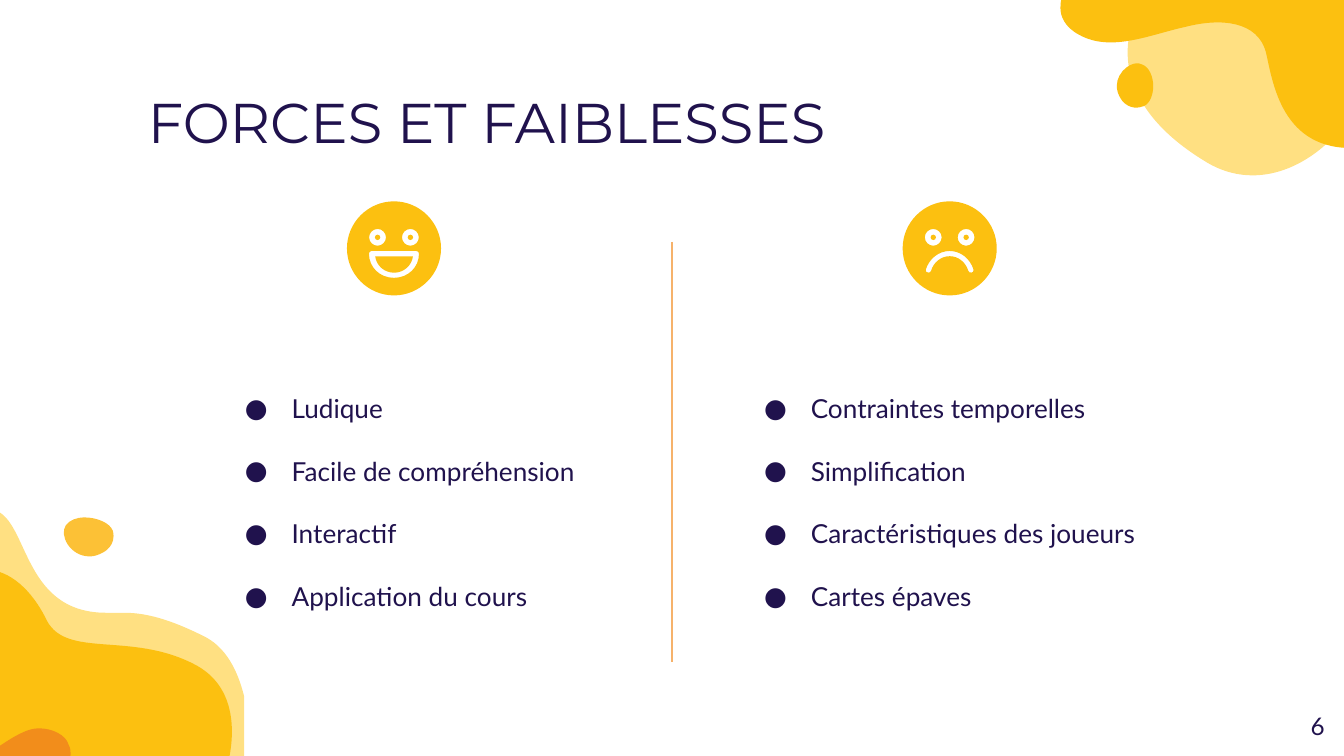
"""Build a slide comparing strengths and weaknesses in two bulleted columns."""
import lxml.etree
import pptx
import pptx.dml.color
import pptx.enum.shapes
import pptx.enum.text
import pptx.oxml.ns
import pptx.util

Pt = pptx.util.Pt
qn = pptx.oxml.ns.qn
ALIGN = pptx.enum.text.PP_ALIGN
ANCHOR = pptx.enum.text.MSO_ANCHOR
COLORS = {
    "navy": "20124D",
    "gold": "FCC010",
    "pale": "FFE082",
    "amber": "FCC136",
    "orange": "F28D1B",
    "rule": "F6B26B",
}
RGB = {name: pptx.dml.color.RGBColor.from_string(value) for name, value in COLORS.items()}

deck = pptx.Presentation()
deck.slide_width, deck.slide_height = Pt(720), Pt(405)
page = deck.slides.add_slide(deck.slide_layouts[5])


def add_blob(group, color, outlines, left=0, top=0):
    """Draw outlines whose steps are lines (2 numbers) or cubic curves (6 numbers)."""
    builder = None
    for outline in outlines:
        corners = [
            (Pt(left + step[i]), Pt(top + step[i + 1]))
            for step in outline for i in range(0, len(step), 2)
        ]
        if builder is None:
            builder = group.shapes.build_freeform(*corners[0], scale=1.0)
        else:
            builder.move_to(*corners[0])
        builder.add_line_segments(corners[1:], close=True)
    shape = builder.convert_to_shape()
    outline_path = shape._element.find(".//" + qn("a:path"))
    lines = iter(outline_path.findall(qn("a:lnTo")))
    for step in (step for outline in outlines for step in outline[1:]):
        pieces = [next(lines) for _ in range(len(step) // 2)]
        if len(pieces) == 3:
            curve = lxml.etree.Element(qn("a:cubicBezTo"))
            pieces[0].addprevious(curve)
            for piece in pieces:
                curve.append(piece[0])
                outline_path.remove(piece)
    shape.shadow.inherit = False
    shape.fill.solid()
    shape.fill.fore_color.rgb = RGB[color]
    shape.line.fill.background()


def circle(x, y, r):
    """Return a circle as four cubic curves."""
    k = 0.55 * r
    return [
        (x, y - r),
        (x + k, y - r, x + r, y - k, x + r, y),
        (x + r, y + k, x + k, y + r, x, y + r),
        (x - k, y + r, x - r, y + k, x - r, y),
        (x - r, y - k, x - k, y - r, x, y - r),
    ]


top_right = [
    ("pale", [(604.1, 28.1), (604.1, 46.1, 614.2, 67, 644.4, 85.7),
              (671.8, 103.7, 702, 90, 720, 67), (720, 0), (612.7, 0),
              (607.7, 7.2, 604.1, 17.3, 604.1, 28.1)]),
    ("gold", [(598.3, 46.1), (598.3, 48.2, 599, 51.1, 601.2, 54),
              (601.2, 54, 605.5, 59.8, 612.7, 56.9), (616.3, 55.4, 617.8, 50.4, 617.8, 46.1),
              (617.8, 41, 615.6, 36, 612, 34.6), (607, 31.7, 598.3, 38.2, 598.3, 46.1)]),
    ("gold", [(568.1, 4.3), (568.1, 0.7, 568.8, -2.2, 569.5, -3.6), (727.2, -3.6),
              (727.2, 79.2), (686.2, 81.4, 681.8, 43.2, 678.2, 28.1),
              (673.9, 11.5, 654.5, 9.4, 635, 14.4), (615.6, 18.7, 595.4, 28.1, 578.2, 18.7),
              (570.2, 14.4, 568.1, 8.6, 568.1, 4.3)]),
]
bottom_left = [
    ("pale", [(130.8, 408.2), (130.8, 373), (127.4, 359.3, 121, 346.3, 108.7, 340.6),
              (87.1, 329.8, 74.9, 328.3, 66.2, 328.3), (64.1, 328.3, 61.9, 328.3, 59.8, 328.3),
              (59, 328.3, 58.3, 328.3, 56.9, 328.3), (10.1, 328.3, 15.8, 275, -5, 272.9),
              (-11.5, 272.9), (-11.5, 408.2)]),
    ("gold", [(122.4, 408.2), (125.3, 395.3, 128.2, 367.9, 103.7, 355.7),
              (69.8, 338.4, 36, 352.8, 25.2, 332.6), (17.3, 316.1, 5, 305.3, -7.2, 305.3),
              (-8.6, 305.3, -10.1, 306, -11.5, 306), (-11.5, 408.2)]),
    ("orange", [(36.7, 408.2), (37.4, 406.1, 38.9, 403.2, 36.7, 398.9),
                (35.3, 393.8, 28.1, 390.2, 20.9, 390.2), (18, 390.2, 15.1, 391, 12.2, 392.4),
                (2.9, 396.7, -0.7, 401, -5, 401.8), (-7.9, 402.5, -10.1, 405.4, -7.9, 408.2)]),
    ("amber", [(48.2, 298.1), (50.4, 298.1, 52.6, 297.4, 55.4, 295.9),
               (55.4, 295.9, 62.6, 292.3, 60.5, 284.4), (59, 280.1, 51.8, 277.2, 45.4, 277.2),
               (41, 277.2, 37.4, 278.6, 35.3, 281.5), (31.7, 286.6, 37.4, 298.1, 48.2, 298.1)]),
]
for blobs in (top_right, bottom_left):
    corner = page.shapes.add_group_shape()
    for color, outline in blobs:
        add_blob(corner, color, [outline])

smile = [(12, 1.4), (12.9, 1.4, 13.4, 2.2, 13.4, 2.9), (13.4, 10.1, 7.6, 15.8, 0, 15.8),
         (-7.6, 15.8, -13.4, 10.1, -13.4, 2.9), (-13.4, 2.2, -12.9, 1.4, -12, 1.4)]
tongue = [(-10.1, 4.3), (-9.4, 9.4, -5, 13, 0, 13), (5, 13, 9.4, 9.4, 10.1, 4.3)]
frown = [(0, 1.4), (5.9, 1.4, 11, 5.6, 12.8, 11.4), (13, 12.3, 12.4, 13, 11.6, 13),
         (10.8, 13, 10.3, 12.8, 10, 12.1), (8.6, 7.4, 4.6, 4.2, 0, 4.2),
         (-4.6, 4.2, -8.6, 7.4, -10, 12.1), (-10.3, 12.8, -10.8, 13, -11.6, 13),
         (-12.4, 13, -13, 12.3, -12.8, 11.4), (-11, 5.6, -5.9, 1.4, 0, 1.4)]
eyes = [(-8.8, -5.9), (8.8, -5.9)]
for face_x, mouth, fillings in [(508.8, frown, []), (211.1, smile, [tongue])]:
    face = page.shapes.add_group_shape()
    pupils = [circle(x, y, 1.45) for x, y in eyes]
    head = [circle(x, y, 4.5) for x, y in eyes] + [mouth, circle(0, 0, 25.2)]
    for outlines in [[part] for part in pupils + fillings] + [head]:
        add_blob(face, "gold", outlines, face_x, 133.1)

divider = page.shapes.add_connector(
    pptx.enum.shapes.MSO_CONNECTOR.STRAIGHT, Pt(360), Pt(129.6), Pt(360), Pt(354.8))
divider.line.color.rgb = RGB["rule"]
divider.line.width = Pt(0.75)
lxml.etree.SubElement(divider._element.spPr, qn("a:effectLst"))

title = page.shapes.title
strengths, weaknesses, number = [page.shapes.add_textbox(0, 0, 0, 0) for _ in range(3)]
texts = [
    (title, (72, 39.6, 576, 43.2), "Montserrat", 30, ["FORCES ET FAIBLESSES"]),
    (strengths, (113.2, 186.1, 235.4, 185.8), "Lato", 14,
     ["Ludique", "Facile de compréhension", "Interactif", "Application du cours"]),
    (weaknesses, (391.3, 186.1, 235.4, 164.9), "Lato", 14,
     ["Contraintes temporelles", "Simplification", "Caractéristiques des joueurs",
      "Cartes épaves"]),
    (number, (673.6, 373.2, 43.2, 31), "Lato", 13, ["6"]),
]
for box, place, font, size, lines in texts:
    box.left, box.top, box.width, box.height = map(Pt, place)
    frame = box.text_frame
    frame.text = "\n".join(lines)
    frame.word_wrap = True
    frame.auto_size = pptx.enum.text.MSO_AUTO_SIZE.NONE
    frame.vertical_anchor = ANCHOR.MIDDLE if box is number else ANCHOR.TOP
    frame.margin_left = frame.margin_right = frame.margin_top = frame.margin_bottom = Pt(7.2)
    for para in frame.paragraphs:
        para.alignment = ALIGN.RIGHT if box is number else ALIGN.LEFT
        span = para.runs[0]
        span.font.name = font
        span.font.size = Pt(size)
        span.font.color.rgb = RGB["navy"]

for box in (strengths, weaknesses):
    for para in box.text_frame.paragraphs:
        para.line_spacing = 2.0
        properties = para._p.get_or_add_pPr()
        properties.set("marL", str(Pt(36)))
        properties.set("indent", str(-Pt(25)))
        bullet_color = lxml.etree.SubElement(properties, qn("a:buClr"))
        lxml.etree.SubElement(bullet_color, qn("a:srgbClr"), val=COLORS["navy"])
        lxml.etree.SubElement(properties, qn("a:buFont"), typeface="Montserrat")
        lxml.etree.SubElement(properties, qn("a:buChar"), char="●")

deck.save("out.pptx")
